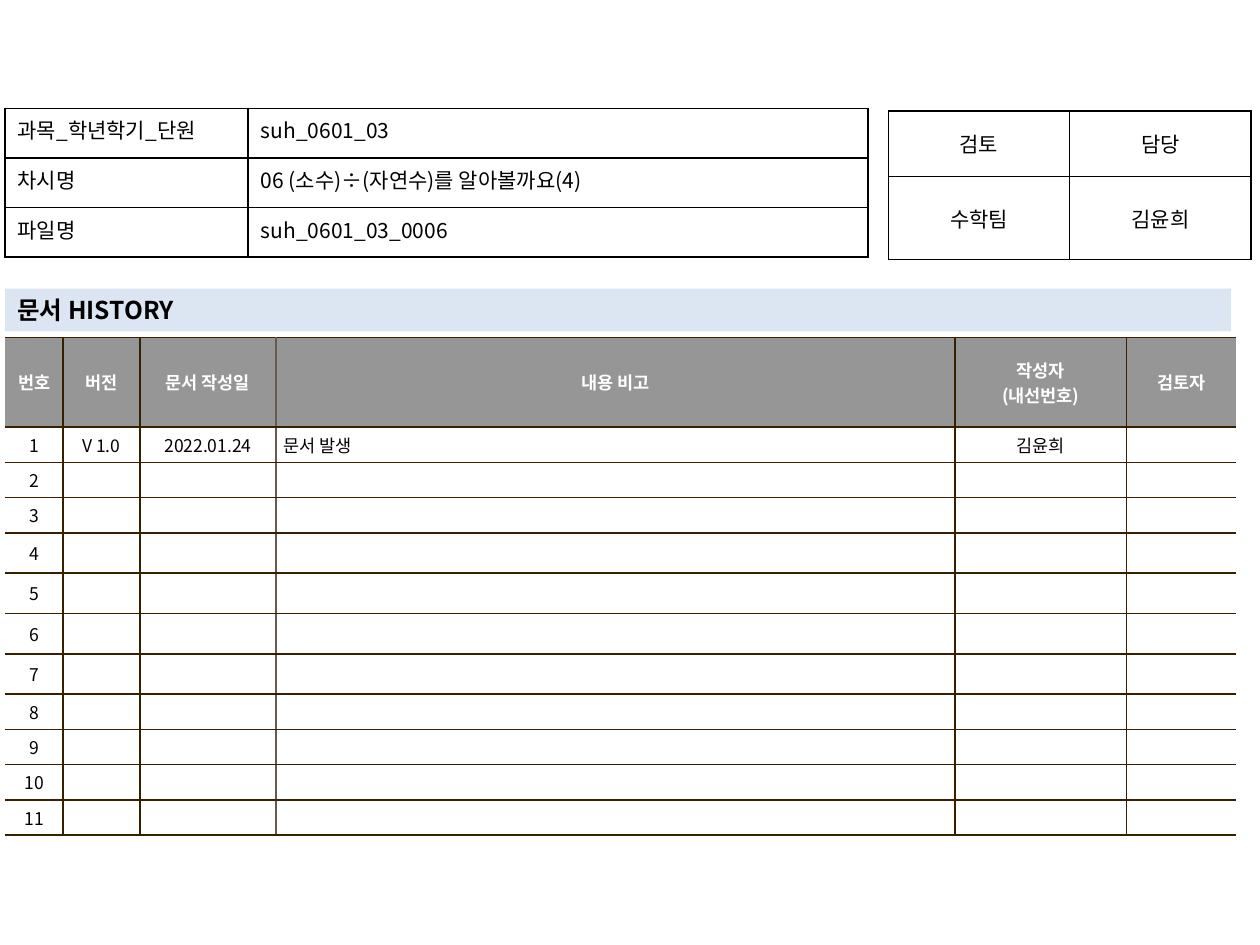
import pptx
import pptx.dml.color
import pptx.enum.shapes
import pptx.enum.text
import pptx.oxml
import pptx.oxml.ns
import pptx.util
import lxml.etree

RGBColor = pptx.dml.color.RGBColor
ALIGN = pptx.enum.text.PP_ALIGN
ANCHOR = pptx.enum.text.MSO_ANCHOR
BLACK = RGBColor(0x00, 0x00, 0x00)
WHITE = RGBColor(0xFF, 0xFF, 0xFF)
GREY = RGBColor(0x96, 0x96, 0x96)
PALE_BLUE = RGBColor(0xDC, 0xE6, 0xF2)
BROWN = RGBColor(0x36, 0x20, 0x00)
TAUPE = RGBColor(0x64, 0x5B, 0x4C)
FONT = "Noto Sans CJK KR"

presentation = pptx.Presentation()
presentation.slide_width = pptx.util.Inches(10)
presentation.slide_height = pptx.util.Inches(7.5)
slide = presentation.slides.add_slide(presentation.slide_layouts[6])
# The slide is a grid of 100 columns by 75 rows of square units.
UNIT = presentation.slide_width // 100
LEFT = 0.4 * UNIT


def write(frame, text, size=12, color=BLACK, bold=False, align=ALIGN.LEFT):
    """Fill a text frame, one paragraph a line; an empty line keeps the size."""
    frame.text = text
    for paragraph in frame.paragraphs:
        paragraph.alignment = align
        for run in paragraph.runs:
            run.font.size = pptx.util.Pt(size)
            run.font.bold = bold
            run.font.color.rgb = color
            run.font.name = FONT
            properties = run.font._element
            east_asian = lxml.etree.SubElement(properties, pptx.oxml.ns.qn("a:ea"))
            east_asian.set("typeface", FONT)
        if not paragraph.runs:
            end = lxml.etree.SubElement(paragraph._p, pptx.oxml.ns.qn("a:endParaRPr"))
            end.set("sz", str(size * 100))


def add_grid(left, top, widths, heights, line, open_sides=False, margins=(1, 0.5)):
    """Add an unstyled table with 1 pt borders, without outer sides if open."""
    frame = slide.shapes.add_table(
        len(heights), len(widths), int(left), int(top),
        int(sum(widths) * UNIT), int(sum(heights) * UNIT))
    table = frame.table
    table.first_row = table.horz_banding = False
    for column, width in zip(table.columns, widths):
        column.width = int(width * UNIT)
    for row, height in zip(table.rows, heights):
        row.height = int(height * UNIT)
        for index, cell in enumerate(row.cells):
            cell.margin_left = cell.margin_right = int(margins[0] * UNIT)
            cell.margin_top = cell.margin_bottom = int(margins[1] * UNIT)
            cell.fill.background()
            properties = cell._tc.get_or_add_tcPr()
            for position, side in enumerate("LRTB"):
                border = lxml.etree.Element(pptx.oxml.ns.qn("a:ln" + side), w="12700")
                outer = (side, index) in (("L", 0), ("R", len(widths) - 1))
                if open_sides and outer:
                    lxml.etree.SubElement(border, pptx.oxml.ns.qn("a:noFill"))
                else:
                    # The line between date and remarks is lighter.
                    light = open_sides and (side, index) in (("R", 2), ("L", 3))
                    solid = lxml.etree.SubElement(border, pptx.oxml.ns.qn("a:solidFill"))
                    color = lxml.etree.SubElement(solid, pptx.oxml.ns.qn("a:srgbClr"))
                    color.set("val", str(TAUPE if light else line))
                properties.insert(position, border)
    return table


# Document history
headers = ["번호", "버전", "문서 작성일", "내용 비고", "작성자\n(내선번호)", "검토자"]
first_entry = ["1", "V 1.0", "2022.01.24", "문서 발생", "김윤희", ""]
entries = [first_entry] + [[str(number)] + [""] * 5 for number in range(2, 12)]
entry_heights = [3.2 if 4 <= number <= 7 else 2.8 for number in range(1, 12)]
history = add_grid(LEFT, 26.8 * UNIT, [4.6, 6.1, 10.8, 53.9, 13.6, 8.7],
                   [7.1] + entry_heights, BROWN, open_sides=True, margins=(0.6, 0.4))
for row_index, texts in enumerate([headers] + entries):
    is_header = row_index == 0
    for column_index, text in enumerate(texts):
        cell = history.cell(row_index, column_index)
        cell.vertical_anchor = ANCHOR.MIDDLE
        cell.fill.solid()
        cell.fill.fore_color.rgb = GREY if is_header else WHITE
        is_remark = column_index == 3 and not is_header
        write(cell.text_frame, text, size=10, bold=is_header,
              color=WHITE if is_header else BLACK,
              align=ALIGN.LEFT if is_remark else ALIGN.CENTER)

# Approval
approval = add_grid(70.5 * UNIT, 8.8 * UNIT, [14.4] * 2, [5.2, 6.6], BLACK)
for cell, text in zip(approval.iter_cells(), ["검토", "담당", "수학팀", "김윤희"]):
    cell.vertical_anchor = ANCHOR.MIDDLE
    write(cell.text_frame, text, align=ALIGN.CENTER)

# Heading band
heading = slide.shapes.add_shape(
    pptx.enum.shapes.MSO_SHAPE.RECTANGLE, int(LEFT), int(22.9 * UNIT),
    int(97.3 * UNIT), int(3.4 * UNIT))
heading.shadow.inherit = False
heading.fill.solid()
heading.fill.fore_color.rgb = PALE_BLUE
heading.line.fill.background()
heading.text_frame.word_wrap = True
heading.text_frame.vertical_anchor = ANCHOR.MIDDLE
heading.text_frame.margin_top = heading.text_frame.margin_bottom = 0
write(heading.text_frame, "문서 HISTORY", size=14, bold=True)

# Lesson details
details = [("과목_학년학기_단원 ", "suh_0601_03"),
           ("차시명", "06 (소수)÷(자연수)를 알아볼까요(4)"),
           ("파일명", "suh_0601_03_0006")]
lesson = add_grid(LEFT, 8.6 * UNIT, [19.3, 49.2], [3.94] * 3, BLACK)
for row, (label, value) in zip(lesson.rows, details):
    write(row.cells[0].text_frame, label, align=ALIGN.JUSTIFY)
    write(row.cells[1].text_frame, value)

presentation.save("out.pptx")
